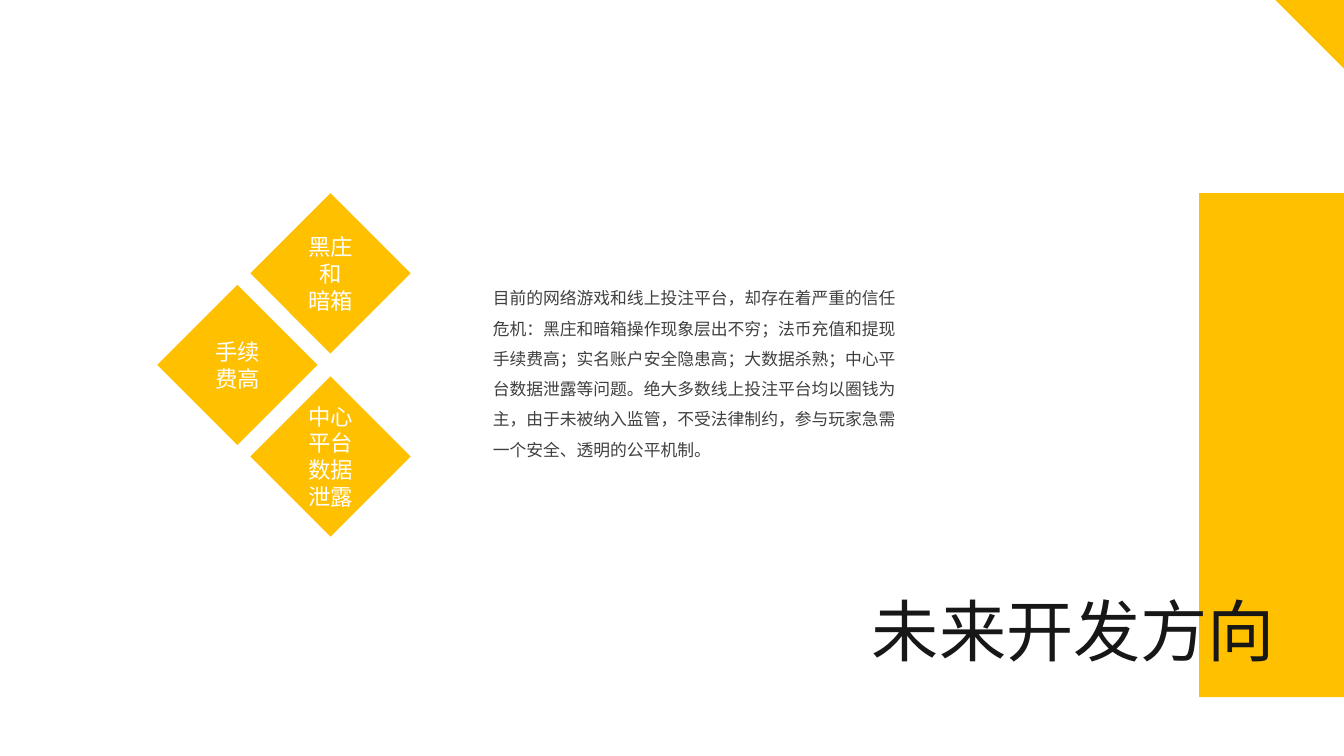
from lxml import etree
from pptx import Presentation
from pptx.dml.color import RGBColor
from pptx.enum.shapes import MSO_SHAPE
from pptx.enum.text import MSO_ANCHOR, PP_ALIGN
from pptx.oxml.ns import qn
from pptx.util import Pt

GOLD = RGBColor(0xFF, 0xC0, 0x00)
WHITE = RGBColor(0xFF, 0xFF, 0xFF)
INK = RGBColor(0x18, 0x17, 0x17)
GREY = RGBColor(0x40, 0x40, 0x40)
SANS = "Noto Sans CJK SC"
LEFT, CENTER = PP_ALIGN.LEFT, PP_ALIGN.CENTER
TOP, MIDDLE = MSO_ANCHOR.TOP, MSO_ANCHOR.MIDDLE


def write(shape, text, size, color, font=SANS, align=LEFT, anchor=TOP, space=1.0):
    """Fill a shape with text, one paragraph per line, in Latin and East Asian type."""
    frame = shape.text_frame
    frame.word_wrap = True
    frame.vertical_anchor = anchor
    frame.text = text
    for para in frame.paragraphs:
        para.alignment = align
        para.line_spacing = space
        for run in para.runs:
            run.font.size = Pt(size)
            run.font.color.rgb = color
            run.font.name = font
            east = etree.SubElement(run.font._element, qn("a:ea"))
            east.set("typeface", font)


def block(kind, left, top, width, height):
    shape = slide.shapes.add_shape(kind, Pt(left), Pt(top), Pt(width), Pt(height))
    shape.shadow.inherit = False
    shape.fill.solid()
    shape.fill.fore_color.rgb = GOLD
    shape.line.fill.background()
    return shape


deck = Presentation()
deck.slide_width, deck.slide_height = Pt(960), Pt(540)
slide = deck.slides.add_slide(deck.slide_layouts[5])

# Gold corner and side bar
corner = block(MSO_SHAPE.RIGHT_TRIANGLE, 911, 0, 49, 49)
corner.rotation = 180
bar = block(MSO_SHAPE.RECTANGLE, 856.5, 138, 103.5, 360)

# Title, in front of the bar
title = slide.shapes.title
title.left, title.top, title.width, title.height = Pt(615.6), Pt(417.6), Pt(308.2), Pt(65.5)
write(title, "未来开发方向", 48, INK, font="Noto Sans CJK JP")
bar._element.addnext(title._element)

# Body text
body = slide.shapes.add_textbox(Pt(344.9), Pt(195.1), Pt(310.3), Pt(136))
write(body, "目前的网络游戏和线上投注平台，却存在着严重的信任危机：黑庄和暗箱操作现象层出不穷；"
      "法币充值和提现手续费高；实名账户安全隐患高；大数据杀熟；中心平台数据泄露等问题。"
      "绝大多数线上投注平台均以圈钱为主，由于未被纳入监管，不受法律制约，"
      "参与玩家急需一个安全、透明的公平机制。", 12, GREY, space=1.5)

# Diamonds on a diagonal grid: column, row, label
SIDE, STEP = 114.5, 65.4
for col, row, label in [(0, 1, "手续费高"), (1, 0, "黑庄和\n暗箱"), (1, 2, "中心平台数据泄露")]:
    gem = block(MSO_SHAPE.DIAMOND, 112.3 + col * 66.5, 138 + row * STEP, SIDE, SIDE)
    write(gem, label, 16, WHITE, align=CENTER, anchor=MIDDLE)

deck.save("out.pptx")
